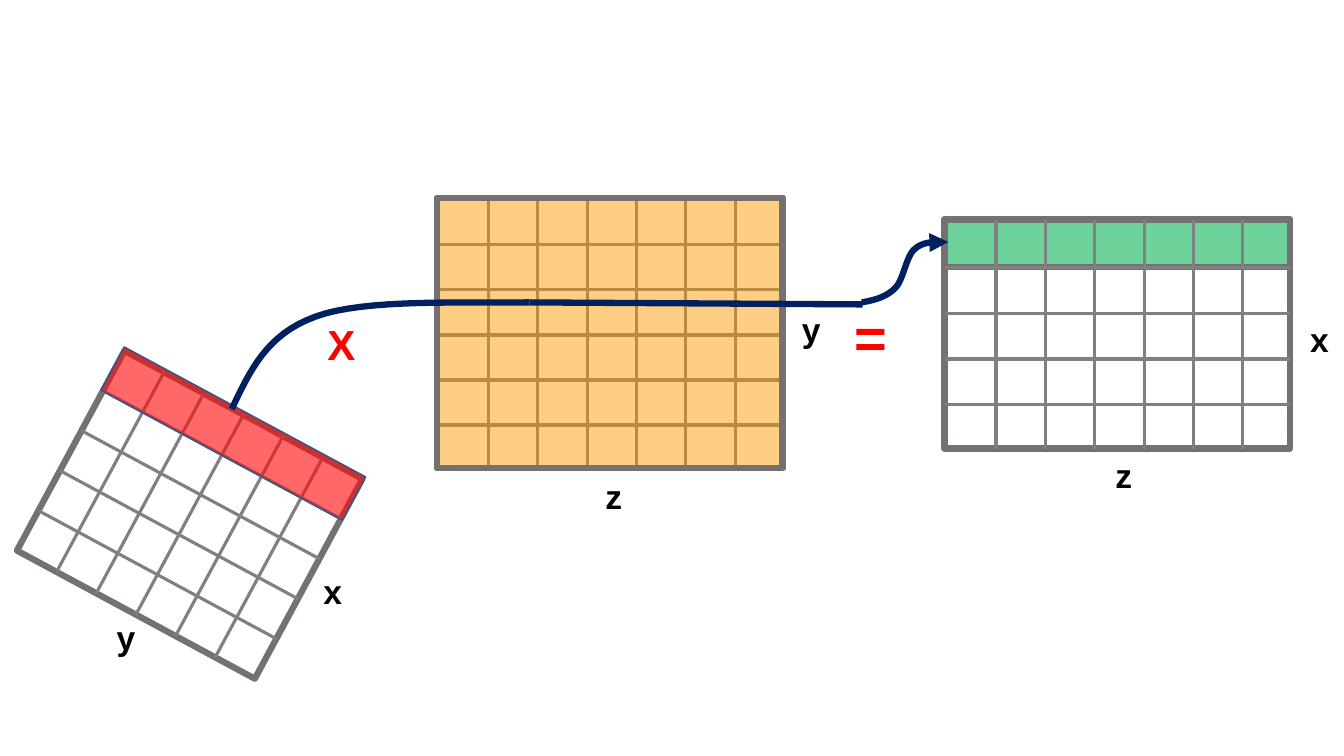
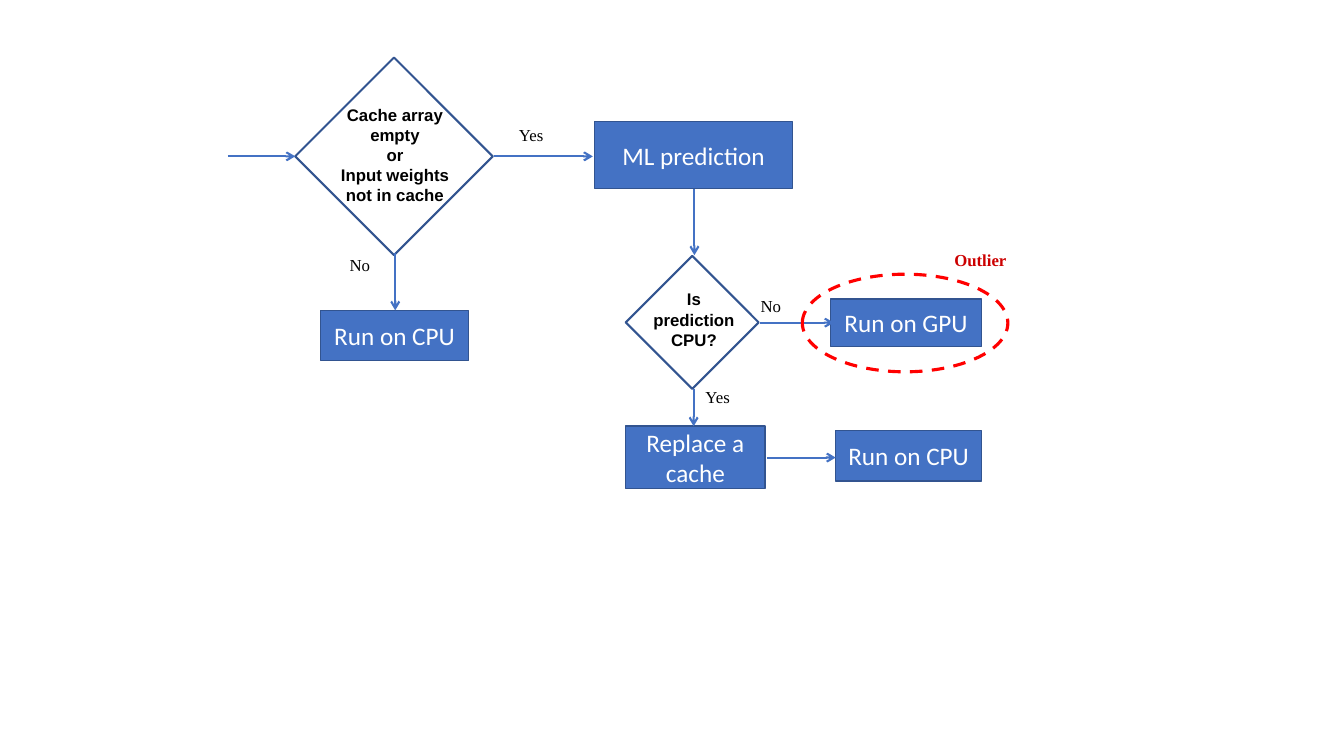
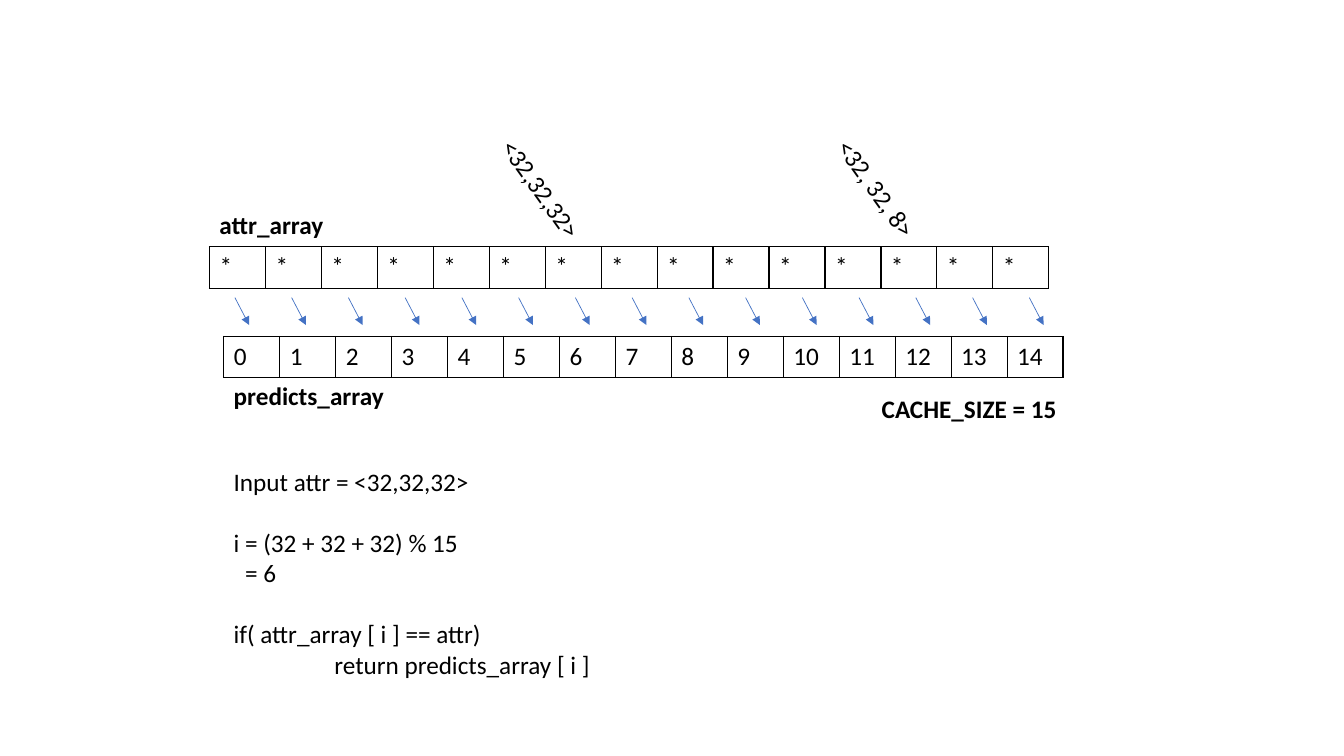
from math import cos, radians, sin

from lxml import etree
from pptx import Presentation
from pptx.dml.color import RGBColor
from pptx.enum import dml, shapes, text
from pptx.oxml import ns
from pptx.util import Cm, Pt

WIDTH, HEIGHT = 33.87, 19.05
INK = dict(black="000000", white="FFFFFF", frame="767171", rule="808080", navy="002060",
           red="FF0000", dark="CC0000", blue="4472C4", edge="325490",
           rose="FF0909", green="00B050", amber="FF9900")
SHAPE = shapes.MSO_SHAPE

# Slide 1: multiplying matrices; centre, size, rows, columns, turn in degrees
LEFT = dict(mid=(4.78, 12.97), size=(6.81, 5.72), rows=5, cols=6, turn=28.3)
RIGHT = dict(mid=(15.37, 8.39), size=(8.71, 6.81), rows=6, cols=7, nudge=0.05)
RESULT = dict(mid=(28.16, 8.42), size=(8.71, 5.77), rows=5, cols=7, nudge=0.05)
CURVES = [
    ([(5.84, 10.31), (6.3, 9.35), (6.71, 8.43), (7.95, 7.98),
      (9.19, 7.52), (11.71, 7.65), (13.34, 7.62)], None),
    ([(21.72, 7.62), (22.02, 7.57), (22.33, 7.49), (22.56, 7.26), (22.78, 7.04),
      (22.83, 6.45), (23.06, 6.27), (23.29, 6.07), (23.6, 6.1), (23.9, 6.1)], "triangle"),
]
STRAIGHT = (13.34, 7.62), (21.74, 7.67)
SIGNS = [("y", 2.69, 15.42, 24, "black"), ("x", 7.9, 14.27, 24, "black"),
         ("z", 27.86, 11.35, 24, "black"), ("x", 32.77, 7.9, 24, "black"),
         ("z", 15.01, 11.86, 24, "black"), ("y", 19.96, 7.65, 24, "black"),
         ("=", 21.29, 7.49, 40, "red"), ("X", 8, 7.9, 30, "red")]

# Slide 2: flow chart
TESTS = [
    ((7.44, 1.45, 4.98, 4.98), (8.28, 2.51, 3.35, 2.79),
     ["Cache array empty", "or", "Input weights not in cache"]),
    ((15.77, 6.45, 3.35, 3.35), (16.18, 7.16, 2.62, 1.78), ["Is prediction CPU?"]),
]
STEPS = [("ML prediction", (14.99, 3.07, 4.98, 1.68)),
         ("Run on CPU", (8.08, 7.82, 3.73, 1.27)),
         ("Run on GPU", (20.93, 7.54, 3.81, 1.19)),
         ("Replace a cache", (15.77, 10.74, 3.51, 1.57)),
         ("Run on CPU", (21.06, 10.85, 3.68, 1.27))]
ARROWS = [((5.74, 3.94), (7.44, 3.94)), ((12.45, 3.94), (14.94, 3.94)),
          ((9.96, 6.38), (9.96, 7.82)), ((17.5, 4.75), (17.5, 6.43)),
          ((19.15, 8.13), (21.01, 8.13)), ((17.48, 9.8), (17.48, 10.74)),
          ((19.33, 11.53), (21.06, 11.53))]
ANSWERS = [("Yes", 12.83, 3.02), ("No", 8.56, 6.3), ("No", 18.92, 7.32), ("Yes", 17.53, 9.63)]
OUTLIER = (20.22, 6.91, 5.18, 2.46)

# Slide 3: cache arrays
COUNT = 15
ARRAYS = [(5.28, 6.22, ["*"] * COUNT), (5.64, 8.48, [str(i) for i in range(COUNT)])]
TAGS = [("attr_array", 5.28, 5.16, True, 0), ("predicts_array", 5.64, 9.45, True, 0),
        ("CACHE_SIZE = 15", 21.97, 9.78, True, 0),
        ("<32,32,32>", 11.63, 4.88, False, 54.4), ("<32, 32, 8>", 20.09, 4.88, False, 54.4)]
CODE = [["Input attr = <32,32,32>"],
        ["i = (32 + 32 + 32) % 15", "  = 6"],
        ["if( attr_array [ i ] == attr)", "return predicts_array [ i ]"]]


def rgb(name):
    return RGBColor.from_string(INK[name])


def write(frame, lines, size=18, font="Calibri", color="black", bold=False, align="LEFT"):
    frame.word_wrap = True
    for i, line in enumerate(lines):
        para = frame.add_paragraph() if i else frame.paragraphs[0]
        para.text = line
        para.alignment = getattr(text.PP_ALIGN, align)
        para.font.size, para.font.name, para.font.bold = Pt(size), font, bold
        para.font.color.rgb = rgb(color)


def label(slide, lines, x, y, w, h, turn=0, **fmt):
    box = slide.shapes.add_textbox(Cm(x), Cm(y), Cm(w), Cm(h))
    box.rotation = turn
    write(box.text_frame, lines, **fmt)
    return box


def stroke(item, color, width, head=None):
    """Style a line or an outline, with an optional arrowhead at its end."""
    item.line.color.rgb = rgb(color)
    item.line.width = Pt(width)
    if head:
        etree.SubElement(item.line._get_or_add_ln(), ns.qn("a:tailEnd"), type=head)


def draw(slide, kind, area, fill, edge, width, turn=0, alpha=None):
    shape = slide.shapes.add_shape(kind, *map(Cm, area))
    shape.shadow.inherit = False
    shape.rotation = turn
    if fill:
        shape.fill.solid()
        shape.fill.fore_color.rgb = rgb(fill)
    else:
        shape.fill.background()
    if alpha:
        tint = shape.element.spPr.find(ns.qn("a:solidFill"))[0]
        etree.SubElement(tint, ns.qn("a:alpha"), val=str(alpha * 1000))
    stroke(shape, edge, width)
    return shape


def link(slide, start, end, color, width, head=None):
    line = slide.shapes.add_connector(shapes.MSO_CONNECTOR.STRAIGHT, *map(Cm, (*start, *end)))
    stroke(line, color, width, head)
    etree.SubElement(line.element.spPr, ns.qn("a:effectLst"))


def spin(mid, dx, dy, turn):
    """Return the point at offset (dx, dy) from mid, turned about mid."""
    c, s = cos(radians(turn)), sin(radians(turn))
    return mid[0] + dx * c - dy * s, mid[1] + dx * s + dy * c


def slab(slide, mid, size, fill, edge="frame", width=4.5, **fmt):
    """Draw a rectangle around its centre."""
    area = mid[0] - size[0] / 2, mid[1] - size[1] / 2, *size
    draw(slide, SHAPE.RECTANGLE, area, fill, edge, width, **fmt)


def rules(slide, mid, size, rows, cols, turn=0, nudge=0):
    """Draw the inner lines of a matrix."""
    w, h = size
    spans = []
    for i in range(1, rows):
        y = h * i / rows - h / 2 + nudge
        spans.append(((-w / 2, y), (w / 2, y)))
    for i in range(1, cols):
        x = w * i / cols - w / 2 + nudge
        spans.append(((x, -h / 2), (x, h / 2)))
    for start, end in spans:
        link(slide, spin(mid, *start, turn), spin(mid, *end, turn), "rule", 2.25)


def curve(slide, knots, head, steps=16):
    """Draw joined cubic Bezier curves through every third knot."""
    dots = [knots[0]]
    for i in range(0, len(knots) - 1, 3):
        for t in (n / steps for n in range(1, steps + 1)):
            mix = (1 - t) ** 3, 3 * t * (1 - t) ** 2, 3 * t * t * (1 - t), t ** 3
            dots.append([sum(m * k[axis] for m, k in zip(mix, knots[i:i + 4]))
                         for axis in (0, 1)])
    dots = [(Cm(x), Cm(y)) for x, y in dots]
    pen = slide.shapes.build_freeform(*dots[0])
    pen.add_line_segments(dots[1:], close=False)
    shape = pen.convert_to_shape()
    shape.shadow.inherit = False
    shape.fill.background()
    stroke(shape, "navy", 4.5, head)


def strip(slide, x, y, words):
    """Draw a one-row table with thin black borders."""
    table = slide.shapes.add_table(1, COUNT, Cm(x), Cm(y), Cm(21.16), Cm(1.04)).table
    table.first_row = table.horz_banding = False
    for col, cell, word in zip(table.columns, table.rows[0].cells, words):
        col.width = Cm(1.41)
        write(cell.text_frame, [word])
        props = cell._tc.get_or_add_tcPr()
        for side in ("lnL", "lnR", "lnT", "lnB"):
            line = etree.SubElement(props, ns.qn("a:" + side), w=str(Pt(0.96)))
            paint = etree.SubElement(line, ns.qn("a:solidFill"))
            etree.SubElement(paint, ns.qn("a:srgbClr"), val=INK["black"])
        cell.fill.background()


def matrices(slide):
    for grid in (LEFT, RIGHT, RESULT):
        slab(slide, grid["mid"], grid["size"], "white", turn=grid.get("turn", 0))
    rules(slide, **LEFT)
    band = spin(LEFT["mid"], 0, -2.32, LEFT["turn"])
    slab(slide, band, (6.91, 1.24), "rose", "edge", 1, turn=LEFT["turn"], alpha=61)
    rules(slide, **RIGHT)
    slab(slide, RIGHT["mid"], RIGHT["size"], "amber", alpha=48)
    x, y = RESULT["mid"]
    wide, high = RESULT["size"]
    tall = 1.19
    slab(slide, (x, y - (high - tall) / 2), (wide, tall), "green", alpha=57)
    rules(slide, **RESULT)
    for knots, head in CURVES:
        curve(slide, knots, head)
    link(slide, *STRAIGHT, "navy", 4.5)
    for sign, x, y, size, color in SIGNS:
        label(slide, [sign], x, y, min(1.5, WIDTH - x), size * 0.05,
              size=size, font="Arial", color=color, bold=True)


def flow(slide):
    for area, inner, lines in TESTS:
        draw(slide, SHAPE.DIAMOND, area, "white", "edge", 1.5)
        label(slide, lines, *inner, size=12, font="Arial", bold=True, align="CENTER")
    for word, area in STEPS:
        box = draw(slide, SHAPE.RECTANGLE, area, "blue", "edge", 1)
        box.text_frame.vertical_anchor = text.MSO_ANCHOR.MIDDLE
        write(box.text_frame, [word], color="white", align="CENTER")
    for start, end in ARROWS:
        link(slide, start, end, "blue", 1.5, "arrow")
    ring = draw(slide, SHAPE.OVAL, OUTLIER, None, "red", 2.25)
    ring.line.dash_style = dml.MSO_LINE.DASH
    serif = dict(size=12, font="Times New Roman")
    for word, x, y in ANSWERS:
        label(slide, [word], x, y, 1.45, 0.76, **serif)
    label(slide, ["Outlier"], 23.8, 6.17, 2.21, 0.76, color="dark", bold=True, **serif)


def cache(slide):
    for x, y, words in ARRAYS:
        strip(slide, x, y, words)
    for i in range(COUNT):
        x = 5.92 + 1.43 * i
        link(slide, (x, 7.5), (x + 0.36, 8.19), "blue", 0.5, "triangle")
    for word, x, y, bold, turn in TAGS:
        label(slide, [word], x, y, 4.93, 1.02, turn=turn, bold=bold)
    box = label(slide, sum(CODE, []), 5.64, 11.63, 10.03, 6)
    paras = box.text_frame.paragraphs
    first = 0
    for block in CODE[:-1]:
        first += len(block)
        paras[first].space_before = Pt(22)
    paras[-1]._p.get_or_add_pPr().set("marL", str(Cm(2.54)))


def main():
    deck = Presentation()
    deck.slide_width, deck.slide_height = Cm(WIDTH), Cm(HEIGHT)
    for build in (matrices, flow, cache):
        build(deck.slides.add_slide(deck.slide_layouts[6]))
    deck.save("out.pptx")


if __name__ == "__main__":
    main()
